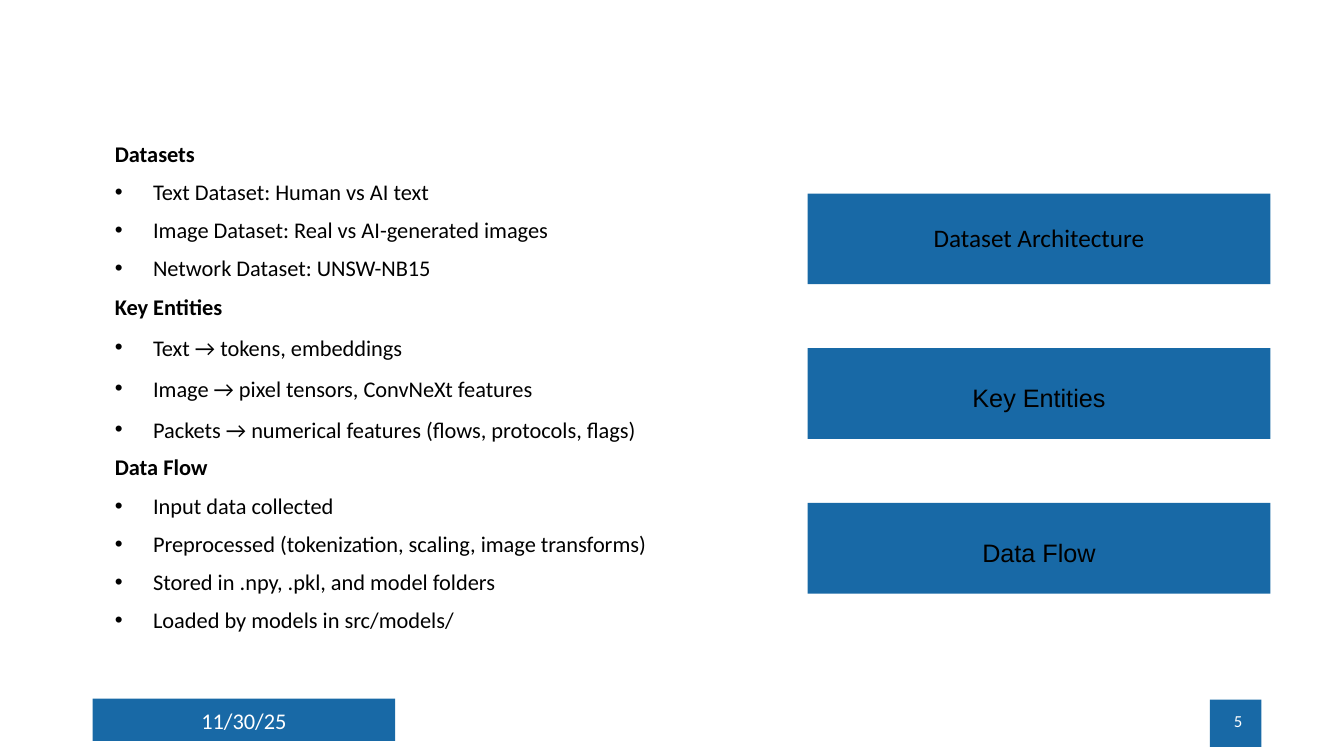
"""Build the dataset architecture slide."""
from dataclasses import dataclass

from lxml import etree
from pptx import Presentation
from pptx.dml.color import RGBColor
from pptx.enum import shapes, text
from pptx.oxml import ns
from pptx.util import Inches, Pt

BLUE = RGBColor(0x18, 0x69, 0xA6)
BLACK = RGBColor(0, 0, 0)
WHITE = RGBColor(255, 255, 255)
LEFT, CENTER, RIGHT = text.PP_ALIGN.LEFT, text.PP_ALIGN.CENTER, text.PP_ALIGN.RIGHT
TOP, MIDDLE = text.MSO_ANCHOR.TOP, text.MSO_ANCHOR.MIDDLE


@dataclass
class Box:
    left: float
    top: float
    width: float
    height: float

    def size(self) -> list:
        return [Inches(n) for n in (self.left, self.top, self.width, self.height)]


@dataclass
class Group:
    head: str
    items: list[str]
    pitch: float = 0.9


@dataclass
class Label:
    words: str
    box: Box
    align: text.PP_ALIGN
    points: int


GROUPS = [
    Group("Datasets", [
        "Text Dataset: Human vs AI text",
        "Image Dataset: Real vs AI-generated images",
        "Network Dataset: UNSW-NB15",
    ]),
    Group("Key Entities", [
        "Text → tokens, embeddings",
        "Image → pixel tensors, ConvNeXt features",
        "Packets → numerical features (flows, protocols, flags)",
    ], 1.0),
    Group("Data Flow", [
        "Input data collected",
        "Preprocessed (tokenization, scaling, image transforms)",
        "Stored in .npy, .pkl, and model folders",
        "Loaded by models in src/models/",
    ]),
]
PANELS = [Box(8.01, 1.92 + 1.535 * row, 4.59, 0.9) for row in range(3)]
BARS = [Box(0.92, 6.93, 3, 0.42), Box(12, 6.94, 0.51, 0.47)]
LABELS = [
    Label("11/30/25", Box(0.92, 6.95, 3, 0.4), CENTER, 16),
    Label("5", Box(9.42, 6.95, 3, 0.4), RIGHT, 12),
]


def add_run(para, words: str, points: int, color: RGBColor,
            face: str = "Calibri", bold: bool = False) -> None:
    run = para.add_run()
    run.text = words
    font = run.font
    font.name, font.size, font.bold = face, Pt(points), bold
    font.color.rgb = color


def set_frame(frame, anchor: text.MSO_ANCHOR, top: float = 0.05) -> None:
    frame.word_wrap = True
    frame.auto_size = text.MSO_AUTO_SIZE.NONE
    frame.vertical_anchor = anchor
    frame.margin_left = frame.margin_right = Inches(0.1)
    frame.margin_top, frame.margin_bottom = Inches(top), Inches(0.05)


def add_block(slide, box: Box):
    block = slide.shapes.add_shape(shapes.MSO_SHAPE.RECTANGLE, *box.size())
    block.shadow.inherit = False
    block.fill.solid()
    block.fill.fore_color.rgb = BLUE
    block.line.fill.background()
    return block


def add_text(slide, box: Box, anchor: text.MSO_ANCHOR):
    frame = slide.shapes.add_textbox(*box.size()).text_frame
    set_frame(frame, anchor)
    return frame


def add_label(slide, label: Label) -> None:
    para = add_text(slide, label.box, MIDDLE).paragraphs[0]
    para.alignment = label.align
    add_run(para, label.words, label.points, WHITE)


def set_indent(para, left: float, first: float, bullet: bool) -> None:
    props = para._p.get_or_add_pPr()
    props.set("marL", str(Inches(left)))
    props.set("indent", str(Inches(first)))
    if bullet:
        tint = etree.SubElement(props, ns.qn("a:buClr"))
        etree.SubElement(tint, ns.qn("a:srgbClr"), val=str(BLACK))
        etree.SubElement(props, ns.qn("a:buFont"), typeface="Arial")
        etree.SubElement(props, ns.qn("a:buChar"), char="•")


def add_list(slide) -> None:
    frame = add_text(slide, Box(0.92, 1.37, 6.78, 4.76), TOP)
    lines = [line for group in GROUPS for line in
             [(group.head, 0.9, True)]
             + [(item, group.pitch, False) for item in group.items]]
    for index, (words, pitch, head) in enumerate(lines):
        para = frame.add_paragraph() if index else frame.paragraphs[0]
        set_indent(para, 0.12 if head else 0.5, 0 if head else -0.38, not head)
        para.alignment = LEFT
        para.line_spacing = pitch
        para.space_before = Pt(10 if index else 0)
        add_run(para, words, 16, BLACK, bold=head)


def add_title(slide, box: Box) -> None:
    add_block(slide, box)
    title = slide.shapes.title
    title.element.getparent().append(title.element)
    title.left, title.top, title.width, title.height = box.size()
    set_frame(title.text_frame, MIDDLE)
    para = title.text_frame.paragraphs[0]
    para.alignment = CENTER
    para.line_spacing = 0.9
    add_run(para, "Dataset Architecture", 18, BLACK)


def add_panel(slide, box: Box, words: str) -> None:
    frame = add_block(slide, box).text_frame
    set_frame(frame, TOP, 0.34)
    para = frame.paragraphs[0]
    para.alignment = CENTER
    add_run(para, words, 18, BLACK, "Arial")


def main() -> None:
    deck = Presentation()
    deck.slide_width, deck.slide_height = Inches(13.33), Inches(7.5)
    slide = deck.slides.add_slide(deck.slide_layouts[5])
    for bar in BARS:
        add_block(slide, bar)
    add_list(slide)
    for label in LABELS:
        add_label(slide, label)
    for box, group in zip(PANELS[1:], GROUPS[1:]):
        add_panel(slide, box, group.head)
    add_title(slide, PANELS[0])
    deck.save("out.pptx")


if __name__ == "__main__":
    main()
